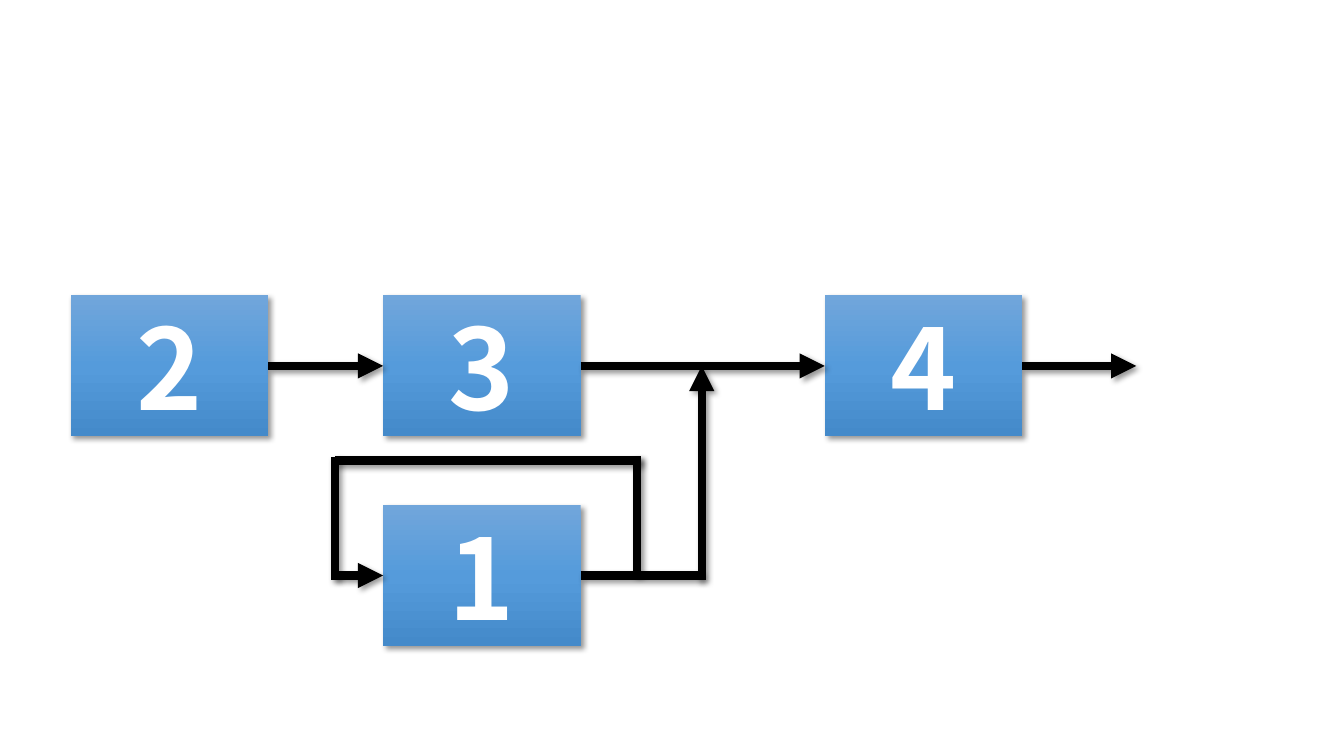
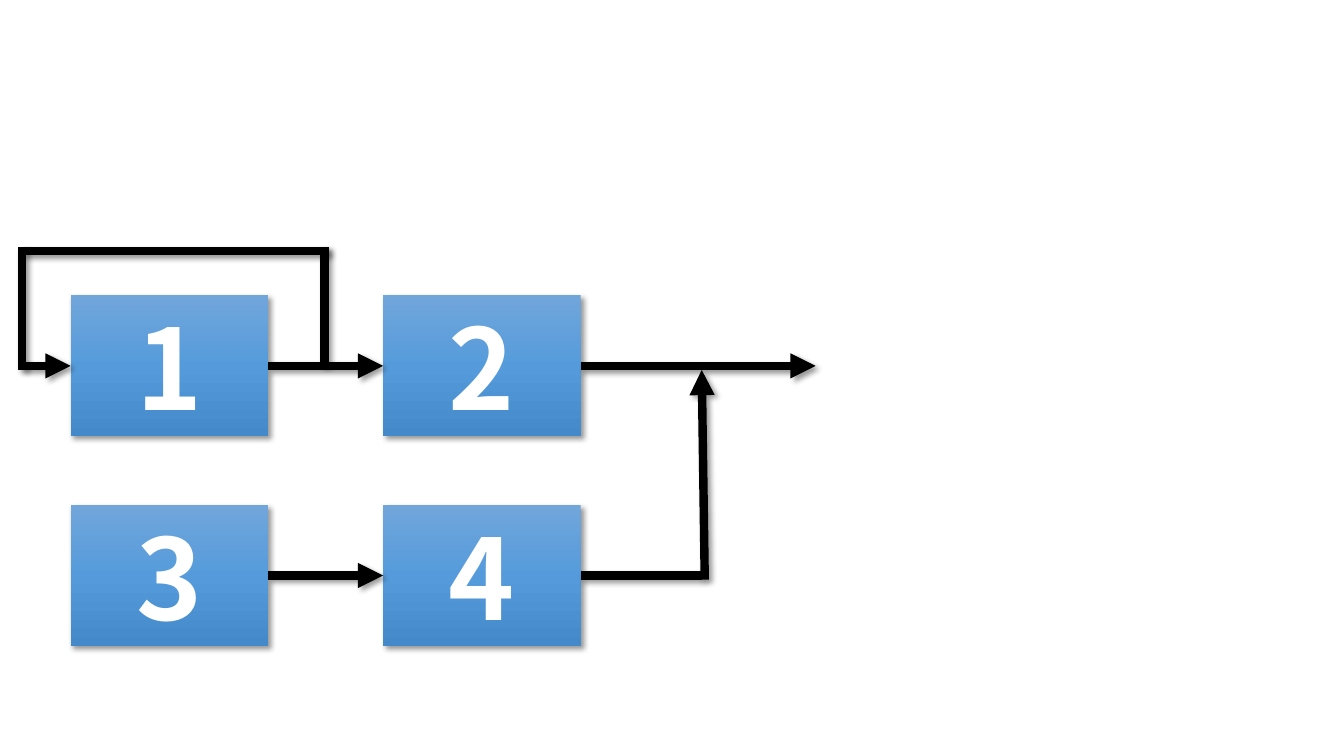
from lxml.etree import SubElement
from pptx import Presentation
from pptx.dml.color import RGBColor
from pptx.enum.shapes import MSO_CONNECTOR, MSO_SHAPE
from pptx.enum.text import MSO_ANCHOR, PP_ALIGN
from pptx.oxml.ns import qn
from pptx.util import Pt

SCALE = 9144
TOP, LEFT, RIGHT = 0, 1, 3
COLUMNS = (70, 380, 818)
ROWS = (293, 501)
BOX_WIDTH, BOX_HEIGHT = 196, 140
MIDDLES = tuple(row + BOX_HEIGHT // 2 for row in ROWS)
HALF_LINE = 4
MERGE_X = 696


def px(length):
    return length * SCALE


def color(value):
    return RGBColor.from_string(value)


class Diagram:
    """Draws numbered boxes and heavy arrows on the current slide."""

    font = "Noto Sans CJK JP"
    text = "FFFFFF"
    ink = "000000"
    gradient = ((0, "71A6DB"), (50, "559BDB"), (100, "448ACA"))

    def __init__(self):
        self.presentation = Presentation()
        self.presentation.slide_width = px(1333)
        self.presentation.slide_height = px(750)
        self.slide = None

    def add_slide(self):
        self.slide = self.presentation.slides.add_slide(self.presentation.slide_layouts[6])

    def shade(self, effects):
        shadow = SubElement(effects, qn("a:outerShdw"), blurRad=str(Pt(4)),
                            dist=str(Pt(3)), dir="2700000", algn="tl", rotWithShape="0")
        tint = SubElement(shadow, qn("a:srgbClr"), val=self.ink)
        SubElement(tint, qn("a:alpha"), val="40000")

    def fill_gradient(self, shape):
        shape.fill.gradient()
        shape.fill.gradient_angle = 270
        stops = shape._element.spPr.find(".//" + qn("a:gsLst"))
        for stop in list(stops):
            stops.remove(stop)
        for position, value in self.gradient:
            stop = SubElement(stops, qn("a:gs"), pos=str(position * 1000))
            SubElement(stop, qn("a:srgbClr"), val=value)

    def box(self, label, column, row):
        shape = self.slide.shapes.add_shape(
            MSO_SHAPE.RECTANGLE, px(COLUMNS[column]), px(ROWS[row]), px(BOX_WIDTH), px(BOX_HEIGHT))
        self.fill_gradient(shape)
        shape.line.fill.background()
        shape.shadow.inherit = False
        self.shade(shape._element.spPr.find(qn("a:effectLst")))
        frame = shape.text_frame
        frame.vertical_anchor = MSO_ANCHOR.MIDDLE
        paragraph = frame.paragraphs[0]
        paragraph.text = label
        paragraph.alignment = PP_ALIGN.CENTER
        paragraph.font.name = self.font
        paragraph.font.size = Pt(80)
        paragraph.font.bold = True
        paragraph.font.color.rgb = color(self.text)
        return shape

    def line(self, start, end, head=False):
        connector = self.slide.shapes.add_connector(
            MSO_CONNECTOR.STRAIGHT, *map(px, start), *map(px, end))
        connector.line.color.rgb = color(self.ink)
        connector.line.width = Pt(6)
        properties = connector._element.spPr
        if head:
            SubElement(properties.find(qn("a:ln")), qn("a:tailEnd"), type="triangle")
        self.shade(SubElement(properties, qn("a:effectLst")))
        return connector

    def output(self, box, column, row, end_x, head=True):
        middle = MIDDLES[row]
        connector = self.line((COLUMNS[column] + BOX_WIDTH, middle), (end_x, middle), head)
        connector.begin_connect(box, RIGHT)
        return connector

    def link(self, source, target, column, row):
        self.output(source, column, row, COLUMNS[column + 1]).end_connect(target, LEFT)

    def loop(self, box, column, row):
        left, right = COLUMNS[column] - 48, COLUMNS[column] + BOX_WIDTH + 56
        top, middle = ROWS[row] - 44, MIDDLES[row]
        self.line((right, middle), (right, top - HALF_LINE))
        self.line((right + HALF_LINE, top), (left, top))
        self.line((left, top - HALF_LINE), (left, middle + HALF_LINE))
        self.line((left, middle), (COLUMNS[column], middle), True).end_connect(box, LEFT)

    def merge(self, box, start_x, end_y):
        self.output(box, 1, 1, MERGE_X, False)
        self.line((start_x, MIDDLES[1] + HALF_LINE), (MERGE_X, end_y), True)


def build_branch(diagram):
    diagram.add_slide()
    two, three, four = [diagram.box(label, column, 0) for column, label in enumerate("234")]
    one = diagram.box("1", 1, 1)
    diagram.link(two, three, 0, 0)
    diagram.link(three, four, 1, 0)
    diagram.output(four, 2, 0, 1127)
    diagram.loop(one, 1, 1)
    diagram.merge(one, MERGE_X, MIDDLES[0])


def build_two_rows(diagram):
    diagram.add_slide()
    one, two = [diagram.box(label, column, 0) for column, label in enumerate("12")]
    three, four = [diagram.box(label, column, 1) for column, label in enumerate("34")]
    diagram.link(one, two, 0, 0)
    diagram.output(two, 1, 0, 809)
    diagram.loop(one, 0, 0)
    diagram.link(three, four, 0, 1)
    diagram.merge(four, MERGE_X + 3, MIDDLES[0] + HALF_LINE)


def main():
    diagram = Diagram()
    build_branch(diagram)
    build_two_rows(diagram)
    diagram.presentation.save("out.pptx")


if __name__ == "__main__":
    main()
